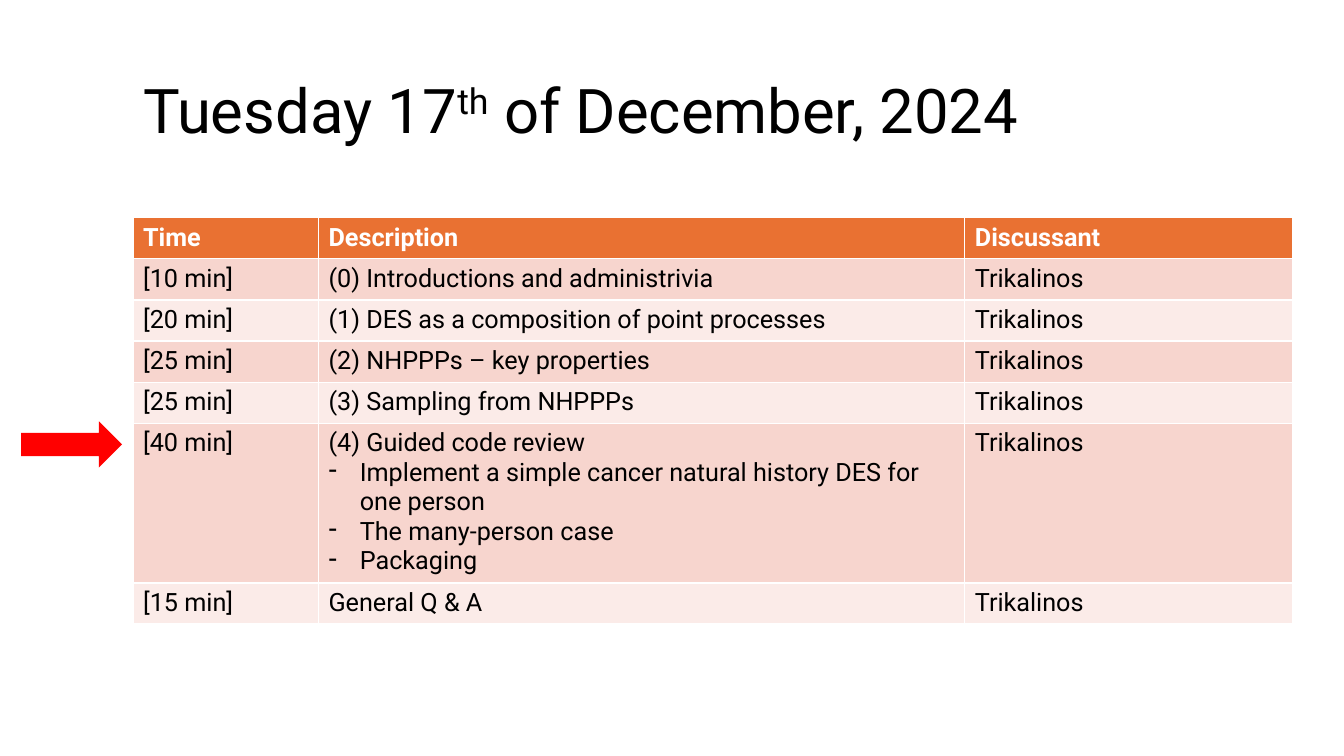
from dataclasses import dataclass

from lxml import etree
from pptx import Presentation
from pptx.dml.color import RGBColor
from pptx.enum.shapes import MSO_SHAPE
from pptx.enum.text import MSO_ANCHOR, MSO_AUTO_SIZE, PP_ALIGN
from pptx.oxml.ns import qn
from pptx.util import Emu, Inches, Pt

RIGHT_ARROW = MSO_SHAPE.RIGHT_ARROW
MIDDLE = MSO_ANCHOR.MIDDLE
NO_AUTOFIT = MSO_AUTO_SIZE.NONE
LEFT = PP_ALIGN.LEFT

WHITE = RGBColor(0xFF, 0xFF, 0xFF)
BLACK = RGBColor(0x00, 0x00, 0x00)
ORANGE = RGBColor(0xE9, 0x71, 0x32)
PEACH = RGBColor(0xF7, 0xD5, 0xCE)
PALE_PEACH = RGBColor(0xFB, 0xEB, 0xE8)
RED = RGBColor(0xFF, 0x00, 0x00)

FONT = "Roboto"
SLIDE_WIDTH, SLIDE_HEIGHT = Inches(13.33), Inches(7.5)
TITLE_ONLY = 5
MARGIN = 9.9
TABLE_TOP = 28.8
COLUMN_SHARES = (13.8, 48.09, 24.38)
LINE_SHARE = 3.92
ROW_SHARE = 5.44
HANGING_INDENT = Inches(0.31)


@dataclass(frozen=True)
class Session:
    time: str
    description: str
    discussant: str = "Trikalinos"
    steps: tuple[str, ...] = ()
    extra_lines: int = 0


HEADER = Session("Time", "Description", "Discussant")
SESSIONS = (
    Session("[10 min]", "(0) Introductions and administrivia"),
    Session("[20 min]", "(1) DES as a composition of point processes"),
    Session("[25 min]", "(2) NHPPPs – key properties"),
    Session("[25 min]", "(3) Sampling from NHPPPs"),
    Session(
        "[40 min]",
        "(4) Guided code review",
        steps=(
            "Implement a simple cancer natural history DES for one person",
            "The many-person case",
            "Packaging",
        ),
        extra_lines=4,
    ),
    Session("[15 min]", "General Q & A"),
)


def across(percent: float) -> Emu:
    """Return a percentage of the slide's width."""
    return Emu(round(SLIDE_WIDTH * percent / 100))


def down(percent: float) -> Emu:
    """Return a percentage of the slide's height."""
    return Emu(round(SLIDE_HEIGHT * percent / 100))


def style(paragraph, size: int, color: RGBColor, bold: bool = False) -> None:
    """Set the font shared by all runs of a paragraph."""
    font = paragraph.font
    font.name, font.size, font.bold = FONT, Pt(size), bold
    font.color.rgb = color


def add_dash(paragraph) -> None:
    """Give a paragraph a hanging dash bullet."""
    properties = paragraph._p.get_or_add_pPr()
    properties.set("marL", str(HANGING_INDENT))
    properties.set("indent", str(-HANGING_INDENT))
    dash = etree.Element(qn("a:buChar"), char="-")
    properties.insert(0, dash)


def add_title(slide) -> None:
    """Write the date with a raised ordinal in the title placeholder."""
    title = slide.shapes.title
    title.left, title.top = across(MARGIN), down(5.33)
    title.width, title.height = across(83.2), down(19.33)
    frame = title.text_frame
    frame.auto_size, frame.vertical_anchor = NO_AUTOFIT, MIDDLE
    date = frame.paragraphs[0]
    date.alignment, date.line_spacing = LEFT, 0.9
    for text in ("Tuesday 17", "th", " of December, 2024"):
        run = date.add_run()
        run.text = text
        if text == "th":
            run.font._element.set("baseline", "30000")
    style(date, 44, BLACK)


def fill_row(row, session: Session, fill: RGBColor, color: RGBColor, bold: bool) -> None:
    """Write one session into a table row."""
    row.height = down(ROW_SHARE + LINE_SHARE * session.extra_lines)
    texts = (
        (session.time,),
        (session.description, *session.steps),
        (session.discussant,),
    )
    for cell, lines in zip(row.cells, texts):
        cell.fill.solid()
        cell.fill.fore_color.rgb = fill
        cell.text_frame.text = "\n".join(lines)
        for index, paragraph in enumerate(cell.text_frame.paragraphs):
            style(paragraph, 18, color, bold)
            if index:
                add_dash(paragraph)


def add_agenda(slide) -> None:
    """Draw the agenda with a header and banded sessions."""
    total_lines = sum(session.extra_lines for session in SESSIONS)
    height = ROW_SHARE * (len(SESSIONS) + 1) + LINE_SHARE * total_lines
    agenda = slide.shapes.add_table(
        len(SESSIONS) + 1, len(COLUMN_SHARES),
        across(MARGIN), down(TABLE_TOP), across(sum(COLUMN_SHARES)), down(height),
    ).table
    for column, share in zip(agenda.columns, COLUMN_SHARES):
        column.width = across(share)
    fill_row(agenda.rows[0], HEADER, ORANGE, WHITE, True)
    for index, session in enumerate(SESSIONS):
        band = PALE_PEACH if index % 2 else PEACH
        fill_row(agenda.rows[index + 1], session, band, BLACK, False)


def add_current_marker(slide) -> None:
    """Point a red arrow at the current session."""
    marker = slide.shapes.add_shape(
        RIGHT_ARROW, across(1.58), down(55.73), across(7.5), down(6.13)
    )
    marker.shadow.inherit = False
    marker.fill.solid()
    marker.fill.fore_color.rgb = RED
    marker.line.fill.background()


def main() -> None:
    """Build and save the agenda slide."""
    deck = Presentation()
    deck.slide_width, deck.slide_height = SLIDE_WIDTH, SLIDE_HEIGHT
    slide = deck.slides.add_slide(deck.slide_layouts[TITLE_ONLY])
    add_title(slide)
    add_agenda(slide)
    add_current_marker(slide)
    deck.save("out.pptx")


if __name__ == "__main__":
    main()
